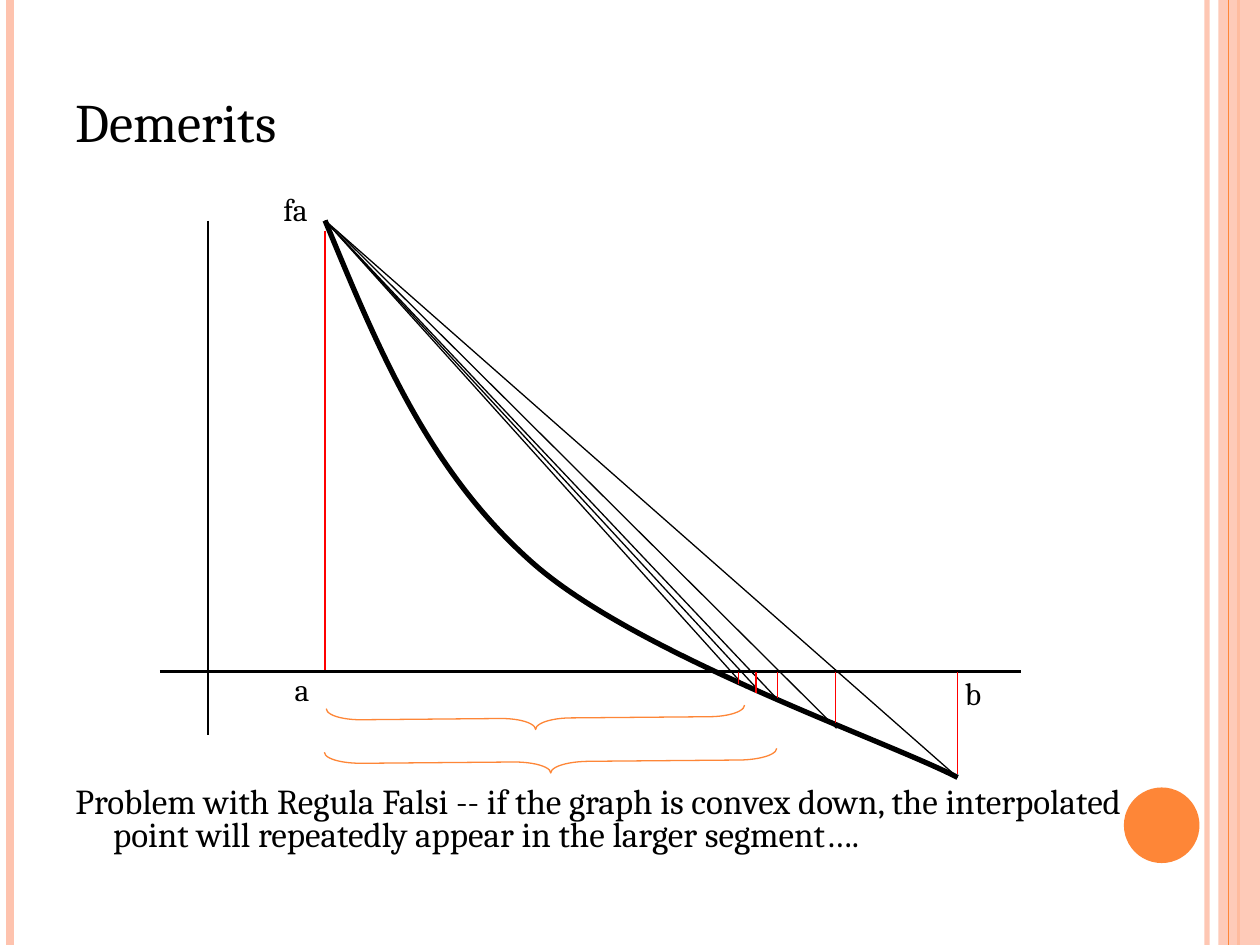
import dataclasses

import pptx
import pptx.dml.color
import pptx.enum.shapes
import pptx.enum.text
import pptx.oxml
import pptx.oxml.ns
import pptx.util
from pptx.util import Inches

qn = pptx.oxml.ns.qn
SHAPES = pptx.enum.shapes.MSO_SHAPE


@dataclasses.dataclass(frozen=True)
class Theme:
    font: str = "Cambria"
    ink: str = "000000"
    red: str = "FF0000"
    orange: str = "FE8637"
    peach: str = "FEC3AE"
    title_size: float = 31
    body_size: float = 20
    label_size: float = 18
    hairline: float = 0.75
    axis: float = 1.5
    bold_curve: float = 3


class SlideBuilder:
    def __init__(self, slide, theme):
        self.shapes = slide.shapes
        self.theme = theme

    def paint(self, color_format, color, opacity=100):
        """Set a solid fill's or line's colour, with opacity in percent."""
        color_format.fore_color.rgb = pptx.dml.color.RGBColor.from_string(color)
        if opacity < 100:
            rgb = color_format.fore_color._xFill.find(qn("a:srgbClr"))
            alpha = pptx.oxml.parse_xml(
                '<a:alpha %s val="%d"/>' % (pptx.oxml.ns.nsdecls("a"), opacity * 1000))
            rgb.append(alpha)

    def stroke(self, line, color, width, opacity=100):
        line.width = pptx.util.Pt(width)
        line.fill.solid()
        self.paint(line.fill, color, opacity)

    def line(self, start, end, color, width, opacity=100):
        connector = self.shapes.add_connector(
            pptx.enum.shapes.MSO_CONNECTOR.STRAIGHT,
            *(Inches(v) for v in (*start, *end)))
        self.stroke(connector.line, color, width, opacity)
        connector._element.spPr.append(pptx.oxml.parse_xml(
            "<a:effectLst %s/>" % pptx.oxml.ns.nsdecls("a")))

    def solid(self, kind, box, color, opacity=100):
        shape = self.shapes.add_shape(kind, *(Inches(v) for v in box))
        shape.shadow.inherit = False
        shape.fill.solid()
        self.paint(shape.fill, color, opacity)
        shape.line.fill.background()

    def brace(self, box, color, width):
        """Draw a right brace turned to open upwards."""
        shape = self.shapes.add_shape(SHAPES.RIGHT_BRACE, *(Inches(v) for v in box))
        shape.shadow.inherit = False
        shape.fill.background()
        shape.rotation = 89.5
        shape.adjustments[0] = box[3] / box[2] / 12
        self.stroke(shape.line, color, width)

    def curve(self, points, color, width):
        """Draw cubic curves through a start point and triples of control points."""
        start, *controls = [(Inches(x), Inches(y)) for x, y in points]
        builder = self.shapes.build_freeform(*start)
        builder.add_line_segments(controls, close=False)
        shape = builder.convert_to_shape()
        segments = list(shape._element.iter(qn("a:lnTo")))
        for i in range(0, len(segments), 3):
            bezier = pptx.oxml.parse_xml(
                "<a:cubicBezTo %s/>" % pptx.oxml.ns.nsdecls("a"))
            segments[i].addprevious(bezier)
            for segment in segments[i:i + 3]:
                bezier.append(segment[0])
                segment.getparent().remove(segment)
        shape.shadow.inherit = False
        shape.fill.background()
        self.stroke(shape.line, color, width)

    def text(self, words, box, size, wrap=True):
        frame = self.shapes.add_textbox(*(Inches(v) for v in box)).text_frame
        frame.word_wrap = wrap
        paragraph = frame.paragraphs[0]
        paragraph.text = words
        paragraph.font.name = self.theme.font
        paragraph.font.size = pptx.util.Pt(size)
        paragraph.font.color.rgb = pptx.dml.color.RGBColor.from_string(self.theme.ink)
        return paragraph

    def passage(self, words, box, size):
        """Add tightly spaced text with a hanging indent."""
        paragraph = self.text(words, box, size)
        paragraph.line_spacing = 0.8
        properties = paragraph._p.get_or_add_pPr()
        properties.set("marL", str(Inches(0.3)))
        properties.set("indent", str(Inches(-0.3)))


def draw_frame(builder, theme):
    def rule(x, color, width, opacity=100):
        builder.line((x, 0), (x, 7.5), color, width, opacity)

    rule(9.58, theme.peach, 3, 93)
    rule(0.08, theme.peach, 4.5)
    rule(9.83, theme.orange, 1.5)
    builder.solid(SHAPES.RECTANGLE, (9.67, 0, 0.33, 7.5), theme.peach, 87)
    rule(9.75, theme.orange, 0.75)
    builder.solid(SHAPES.OVAL, (8.92, 6.25, 0.6, 0.6), theme.orange)


def draw_graph(builder, theme):
    f_a, f_b, axis_y = (2.58, 1.75), (7.6, 6.17), 5.33
    builder.curve([f_a, (2.99, 2.74), (3.39, 3.73), (4.23, 4.47),
                   (5.06, 5.2), (7.04, 5.88), f_b], theme.ink, theme.bold_curve)

    builder.line((2.67, 1.83), (6.64, 5.78), theme.ink, theme.hairline)
    for chord_end in ((6.18, 5.56), (6.04, 5.5), (5.92, 5.46), f_b):
        builder.line(f_a, chord_end, theme.ink, theme.hairline)

    builder.line((2.58, 1.83), (2.58, axis_y), theme.red, theme.axis)
    builder.line((1.65, 1.75), (1.65, 5.83), theme.ink, theme.hairline)
    builder.line((1.27, axis_y), (8.1, axis_y), theme.ink, theme.axis)

    for label, x, y, width in (("a", 2.24, 5.27, 0.34), ("b", 7.56, 5.3, 0.34),
                               ("fa", 2.15, 1.46, 0.42)):
        builder.text(label, (x, y, width, 0.4), theme.label_size, wrap=False)

    for segment in ((4.16, 4.04, 0.18, 3.32), (4.28, 4.25, 0.18, 3.59)):
        builder.brace(segment, theme.orange, theme.hairline)

    for x, depth in ((7.6, 6.14), (6.63, 5.74), (6.17, 5.54), (6, 5.5), (5.86, 5.43)):
        builder.line((x, depth), (x, axis_y), theme.red, theme.hairline)


def main():
    presentation = pptx.Presentation()
    presentation.slide_width, presentation.slide_height = Inches(10), Inches(7.5)
    slide = presentation.slides.add_slide(presentation.slide_layouts[6])
    theme = Theme()
    builder = SlideBuilder(slide, theme)

    draw_frame(builder, theme)
    builder.passage("Demerits", (0.5, 0.75, 9, 0.6), theme.title_size)
    builder.passage("Problem with Regula Falsi -- if the graph is convex down, "
                    "the interpolated point will repeatedly appear in the larger "
                    "segment….", (0.5, 6.2, 8.9, 0.7), theme.body_size)
    draw_graph(builder, theme)
    presentation.save("out.pptx")


if __name__ == "__main__":
    main()
